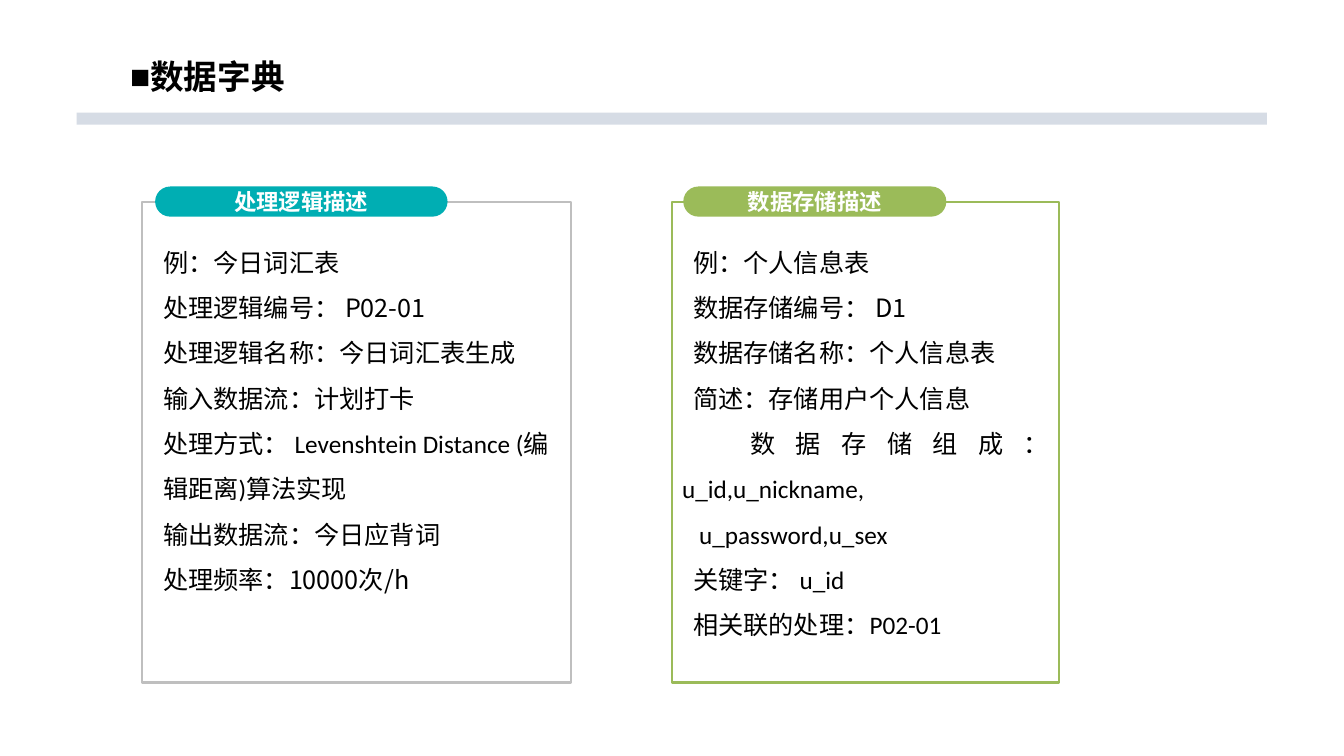
"""Build the data dictionary slide with two description panels."""
from lxml import etree
from pptx import Presentation
from pptx.dml.color import RGBColor
from pptx.enum.shapes import MSO_SHAPE
from pptx.enum.text import MSO_ANCHOR, PP_ALIGN
from pptx.oxml.ns import qn
from pptx.util import Cm, Pt

RECT, PILL = MSO_SHAPE.RECTANGLE, MSO_SHAPE.ROUNDED_RECTANGLE
TOP, MIDDLE, BOTTOM = MSO_ANCHOR.TOP, MSO_ANCHOR.MIDDLE, MSO_ANCHOR.BOTTOM
LEFT, CENTER, JUSTIFY = PP_ALIGN.LEFT, PP_ALIGN.CENTER, PP_ALIGN.JUSTIFY
NOTO, LATIN, ARIAL = "Noto Sans CJK SC", "Calibri", "Arial"


def color(value):
    return RGBColor.from_string(value)


def add_run(p, text, size, font, fill, bold=False):
    r = p.add_run()
    r.text = text
    r.font.size, r.font.name, r.font.bold = Pt(size), font, bold
    r.font.color.rgb = color(fill)
    etree.SubElement(r.font._element, qn("a:ea"), typeface=NOTO)


prs = Presentation()
prs.slide_width, prs.slide_height = Cm(33.87), Cm(19.05)
s = prs.slides.add_slide(prs.slide_layouts[6])

sp = s.shapes.add_shape(RECT, Cm(1.93), Cm(2.84), Cm(30), Cm(0.3))
sp.shadow.inherit = False
sp.fill.solid()
sp.fill.fore_color.rgb = color("D6DCE5")
sp.line.fill.background()

sp = s.shapes.add_textbox(Cm(1.93), 0, Cm(30), Cm(2.57))
tf = sp.text_frame
tf.word_wrap, tf.vertical_anchor = True, BOTTOM
p = tf.paragraphs[0]
p.line_spacing = 0.9
pPr = p._p.get_or_add_pPr()
pPr.set("marL", "0")
pPr.set("indent", str(Cm(1.1)))
etree.SubElement(pPr, qn("a:buFont"), typeface=ARIAL)
etree.SubElement(pPr, qn("a:buChar"), char="■")
add_run(p, "数据字典", 24, NOTO, "000000", True)

logic = [
    (LEFT, 0.28, [("例：今日词汇表", NOTO)]),
    (LEFT, 0.28, [("处理逻辑编号： P02-01", NOTO)]),
    (LEFT, 0.28, [("处理逻辑名称：今日词汇表生成", NOTO)]),
    (LEFT, 0.28, [("输入数据流：计划打卡", NOTO)]),
    (LEFT, 0.28, [("处理方式： ", NOTO), ("Levenshtein Distance (编辑距离)算法实现", LATIN)]),
    (LEFT, 0.28, [("输出数据流：今日应背词", NOTO)]),
    (LEFT, 0.28, [("处理频率：10000次/h", NOTO)]),
]
storage = [
    (LEFT, 0.28, [("例：个人信息表", NOTO)]),
    (LEFT, 0.28, [("数据存储编号： D1", NOTO)]),
    (LEFT, 0.28, [("数据存储名称：个人信息表", NOTO)]),
    (LEFT, 0.28, [("简述：存储用户个人信息", NOTO)]),
    (JUSTIFY, 1.72, [("数据存储组成：", NOTO), ("u_id,u_nickname,", LATIN)]),
    (LEFT, 0.43, [("u_password,u_sex", LATIN)]),
    (LEFT, 0.28, [("关键字：", NOTO), (" u_id", LATIN)]),
    (LEFT, 0.28, [("相关联的处理：", NOTO), ("P02-01", LATIN)]),
]
panels = [
    (3.58, 10.82, "BFBFBF", 3.91, 7.37, "00AEB3", "处理逻辑描述", logic),
    (16.94, 9.75, "9BBB59", 17.22, 6.63, "9BBB59", "数据存储描述", storage),
]

for left, width, border, pill_left, pill_width, fill, heading, lines in panels:
    sp = s.shapes.add_shape(RECT, Cm(left), Cm(5.08), Cm(width), Cm(12.12))
    sp.shadow.inherit = False
    sp.fill.background()
    sp.line.color.rgb = color(border)
    sp.line.width = Pt(1.5)
    tf = sp.text_frame
    tf.word_wrap, tf.vertical_anchor, tf.margin_top = True, TOP, Cm(0.76)
    for i, (align, indent, runs) in enumerate(lines):
        p = tf.add_paragraph() if i else tf.paragraphs[0]
        p.alignment, p.line_spacing = align, Pt(32.4)
        first_only = align == JUSTIFY
        p._p.get_or_add_pPr().set("indent" if first_only else "marL", str(Cm(indent)))
        for text, font in runs:
            add_run(p, text, 18, font, "000000")

    sp = s.shapes.add_shape(PILL, Cm(pill_left), Cm(4.7), Cm(pill_width), Cm(0.76))
    sp.shadow.inherit = False
    sp.adjustments[0] = 0.5
    sp.fill.solid()
    sp.fill.fore_color.rgb = color(fill)
    sp.line.fill.background()
    tf = sp.text_frame
    tf.vertical_anchor = MIDDLE
    p = tf.paragraphs[0]
    p.alignment = CENTER
    add_run(p, heading, 16, ARIAL, "FFFFFF", True)

prs.save("out.pptx")
